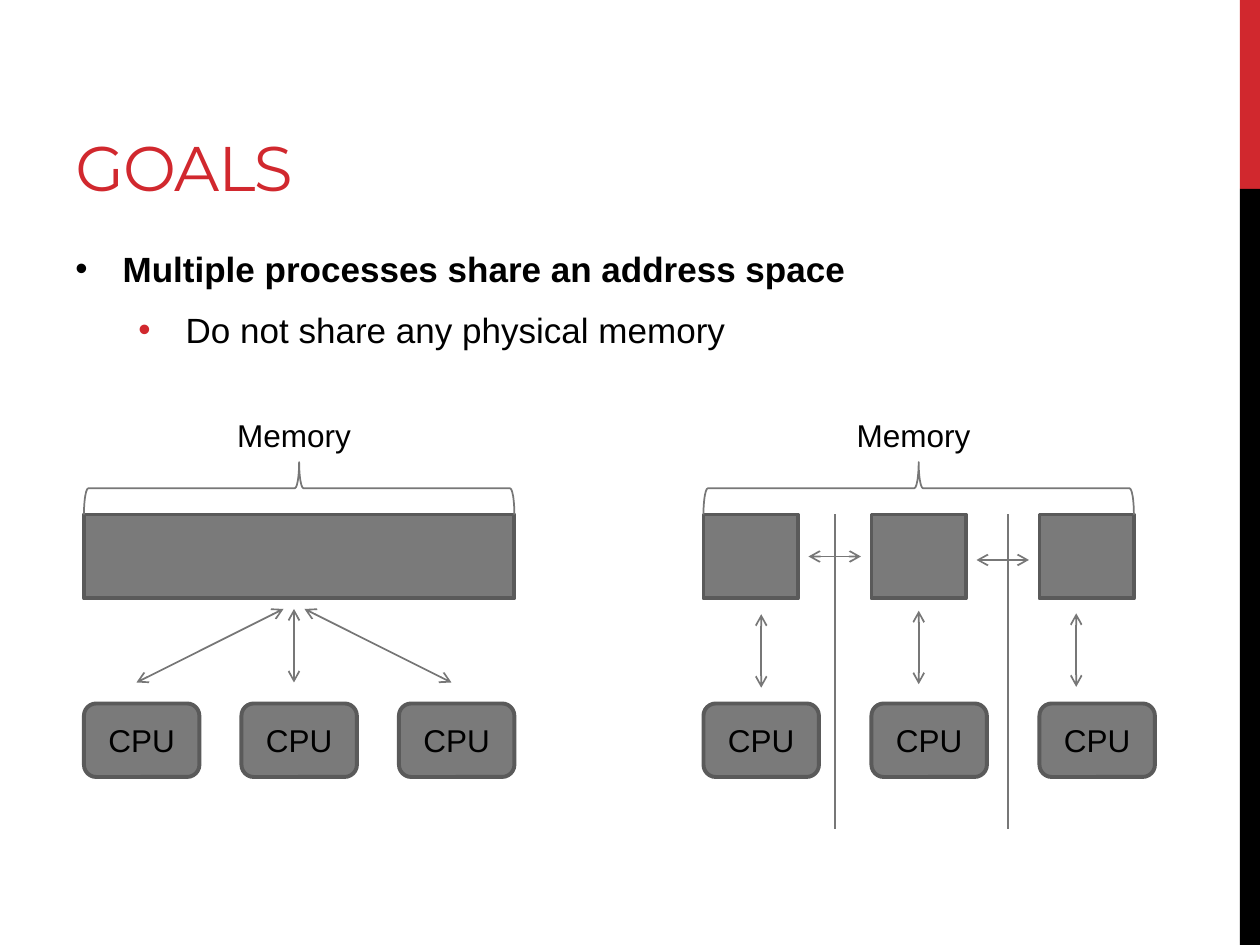
from dataclasses import dataclass

from lxml.etree import SubElement
from pptx import Presentation
from pptx.dml.color import RGBColor
from pptx.enum.shapes import MSO_CONNECTOR as Connector, MSO_SHAPE as Preset
from pptx.enum.text import MSO_ANCHOR as Anchor, PP_ALIGN as Align
from pptx.oxml.ns import qn
from pptx.util import Pt

COLORS = {
    "red": "D1282E",
    "black": "000000",
    "block": "7A7A7A",
    "edge": "5A5A5A",
    "line": "777777",
}
TITLE = {"size": Pt(36), "name": "Montserrat"}
BODY = {"size": Pt(20), "name": "Arial"}
LABEL = {"size": Pt(18), "name": "Arial"}
CENTRED = {"margin_left": 0, "margin_right": 0, "vertical_anchor": Anchor.MIDDLE}

CPU_TOP, CPU_WIDTH, CPU_HEIGHT = 402, 66, 42
MEMORY_TOP, MEMORY_HEIGHT = 294, 48
SPAN, BRACE_DEPTH = 246, 30


@dataclass
class Diagram:
    """One memory layout: blocks on top, CPUs below, both starting at left."""
    left: float
    label_left: float
    pitch: float
    blocks: int
    block_width: float
    arrows: list[tuple[float, float, float, float]]
    dividers: list[float]


@dataclass
class Bullet:
    """One bulleted line of the body text."""
    text: str
    level: int
    indent: float
    color: str
    bold: bool
    space_after: float


DIAGRAMS = [
    Diagram(48, 84, 90, 1, SPAN,
            [(162, 348, 78, 390), (168, 348, 168, 390), (174, 348, 258, 390)], []),
    Diagram(402, 438, 96, 3, 54,
            [(435, 351, 435, 393), (525, 349, 525, 391), (615, 350.5, 615, 392.5),
             (462, 318, 492, 318), (558, 320, 588, 320)], [477, 576]),
]
BULLETS = [
    Bullet("Multiple processes share an address space", 0, 27, "black", True, 6),
    Bullet("Do not share any physical memory", 1, 63, "red", False, 0),
]


def color(name: str) -> RGBColor:
    """Look up a named colour."""
    return RGBColor.from_string(COLORS[name])


def apply(target, values: dict) -> None:
    """Set each value as an attribute of the target."""
    for name, value in values.items():
        setattr(target, name, value)


def write(para, text: str, font: dict, tint: str = "black",
          bold: bool = False) -> None:
    """Add one formatted span to a paragraph."""
    span = para.add_run()
    span.text = text
    apply(span.font, {**font, "bold": bold})
    span.font.color.rgb = color(tint)


def add_box(page, left: float, top: float, width: float, height: float):
    """Add an empty wrapping text box."""
    box = page.shapes.add_textbox(Pt(left), Pt(top), Pt(width), Pt(height))
    box.text_frame.word_wrap = True
    return box


def add_shape(page, preset, left: float, top: float, width: float, height: float,
              fill: str | None, edge: str | None = None, weight: float = 2.25):
    """Add a flat preset shape; None means no fill or no outline."""
    shape = page.shapes.add_shape(preset, Pt(left), Pt(top), Pt(width), Pt(height))
    shape.shadow.inherit = False
    for paint, name in ((shape.fill, fill), (shape.line.fill, edge)):
        if name:
            paint.solid()
            paint.fore_color.rgb = color(name)
        else:
            paint.background()
    if edge:
        shape.line.width = Pt(weight)
    return shape


def add_line(page, x1: float, y1: float, x2: float, y2: float,
             arrows: bool = False) -> None:
    """Add a thin line, with open arrowheads at both ends if asked."""
    line = page.shapes.add_connector(
        Connector.STRAIGHT, Pt(x1), Pt(y1), Pt(x2), Pt(y2))
    line.line.color.rgb = color("line")
    line.line.width = Pt(1)
    props = line.element.spPr
    if arrows:
        for end in ("a:headEnd", "a:tailEnd"):
            SubElement(props.find(qn("a:ln")), qn(end), type="arrow")
    SubElement(props, qn("a:effectLst"))


def add_title(page) -> None:
    """Add the slide title."""
    box = add_box(page, 36, 12, 456, 108)
    box.text_frame.vertical_anchor = Anchor.BOTTOM
    write(box.text_frame.paragraphs[0], "GOALS", TITLE, "red")
    box.element.xpath(".//a:rPr")[0].set("spc", "-60")


def add_bullets(page) -> None:
    """Add the bulleted body text."""
    box = add_box(page, 36, 138, 600, 84)
    frame = box.text_frame
    for number, bullet in enumerate(BULLETS):
        para = frame.add_paragraph() if number else frame.paragraphs[0]
        apply(para, {"level": bullet.level, "space_before": Pt(5),
                     "space_after": Pt(bullet.space_after)})
        write(para, bullet.text, BODY, bold=bullet.bold)
    for bullet, props in zip(BULLETS, box.element.xpath(".//a:pPr")):
        props.set("marL", str(Pt(bullet.indent)))
        props.set("indent", str(Pt(-27)))
        tint = SubElement(props, qn("a:buClr"))
        SubElement(tint, qn("a:srgbClr"), val=COLORS[bullet.color])
        SubElement(props, qn("a:buFont"), typeface="Arial")
        SubElement(props, qn("a:buChar"), char="•")


def add_label(shape, text: str) -> None:
    """Write a centred label into a shape or box."""
    para = shape.text_frame.paragraphs[0]
    para.alignment = Align.CENTER
    write(para, text, LABEL)


def add_diagram(page, diagram: Diagram) -> None:
    """Draw the memory, brace, CPUs, arrows and dividers of one diagram."""
    for index in range(diagram.blocks):
        add_shape(page, Preset.RECTANGLE, diagram.left + index * diagram.pitch,
                  MEMORY_TOP, diagram.block_width, MEMORY_HEIGHT, "block", "edge")
    for index in range(3):
        cpu = add_shape(page, Preset.ROUNDED_RECTANGLE,
                        diagram.left + index * diagram.pitch,
                        CPU_TOP, CPU_WIDTH, CPU_HEIGHT, "block", "edge")
        apply(cpu.text_frame, CENTRED)
        add_label(cpu, "CPU")
    for ends in diagram.arrows:
        add_line(page, *ends, arrows=True)
    brace = add_shape(page, Preset.RIGHT_BRACE,
                      diagram.left + (SPAN - BRACE_DEPTH) / 2,
                      MEMORY_TOP - (SPAN + BRACE_DEPTH) / 2,
                      BRACE_DEPTH, SPAN, None, "line", 1)
    brace.rotation = 270
    add_label(add_box(page, diagram.label_left, 234, 168, 30), "Memory")
    for x in diagram.dividers:
        add_line(page, x, MEMORY_TOP, x, 474)


def main() -> None:
    """Build and save the deck."""
    deck = Presentation()
    deck.slide_width, deck.slide_height = Pt(720), Pt(540)
    page = deck.slides.add_slide(deck.slide_layouts[6])
    for top, height, fill in ((0, 108, "red"), (108, 432, "black")):
        add_shape(page, Preset.RECTANGLE, 708.5, top, 11.5, height, fill)
    add_title(page)
    add_bullets(page)
    for diagram in DIAGRAMS:
        add_diagram(page, diagram)
    deck.save("out.pptx")


main()
